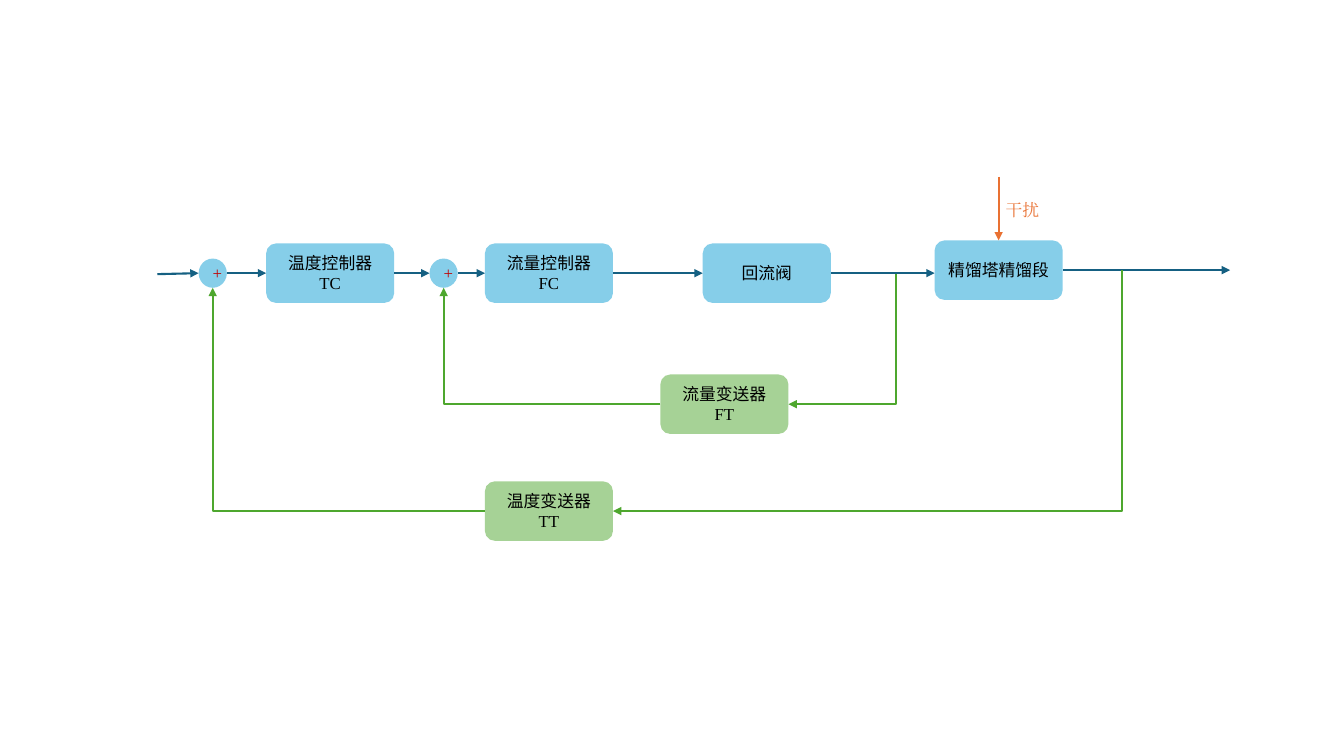
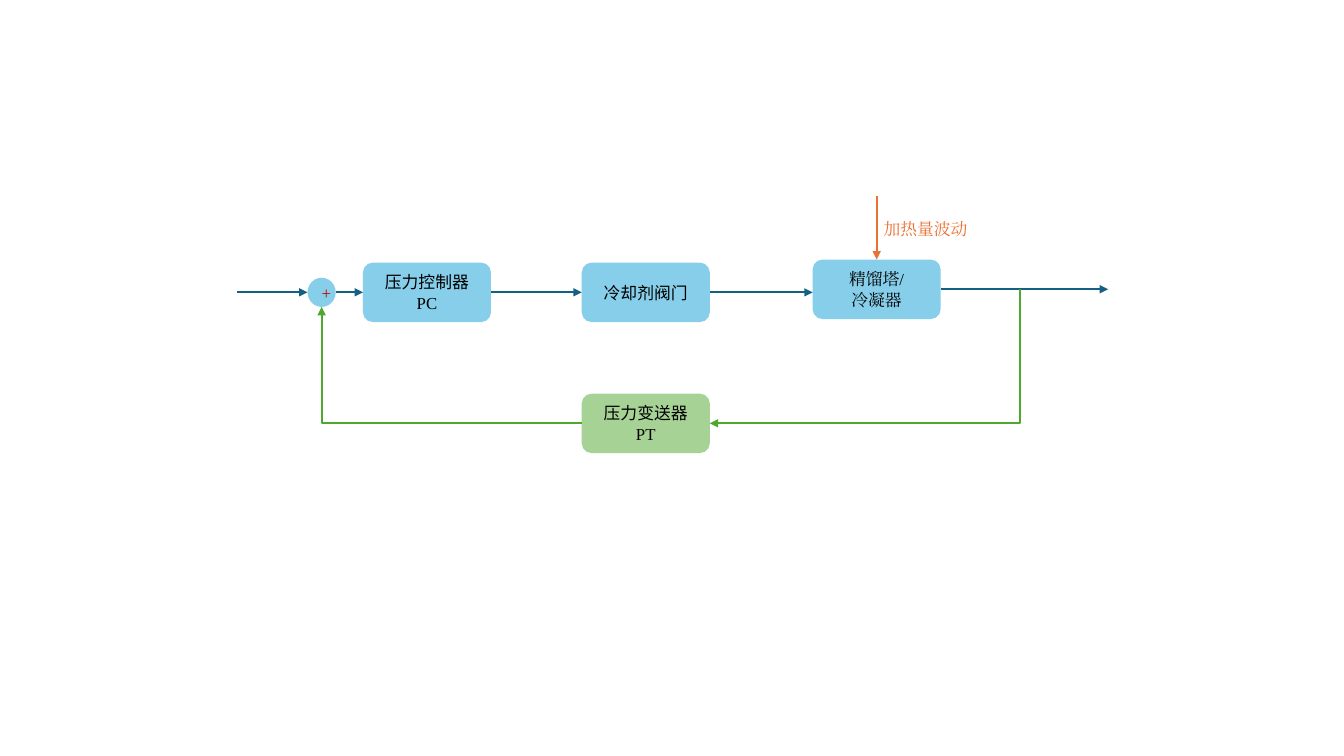
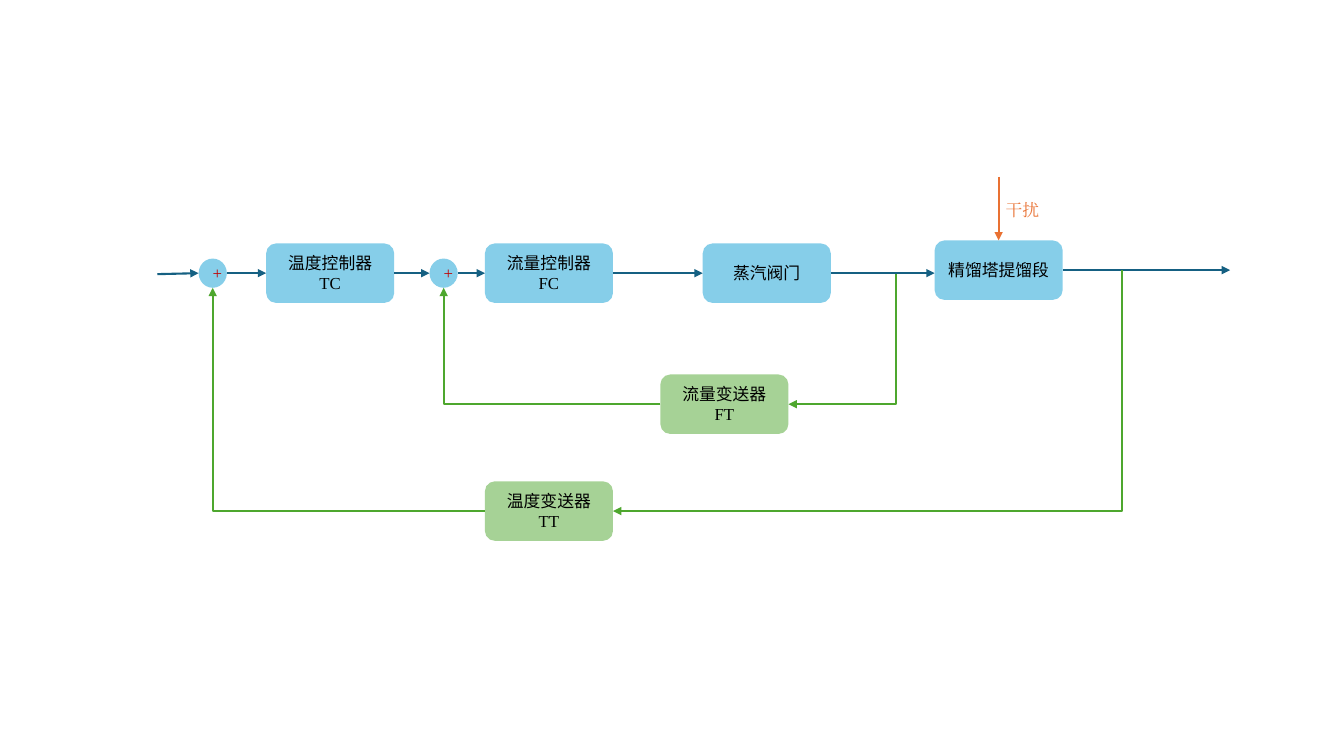
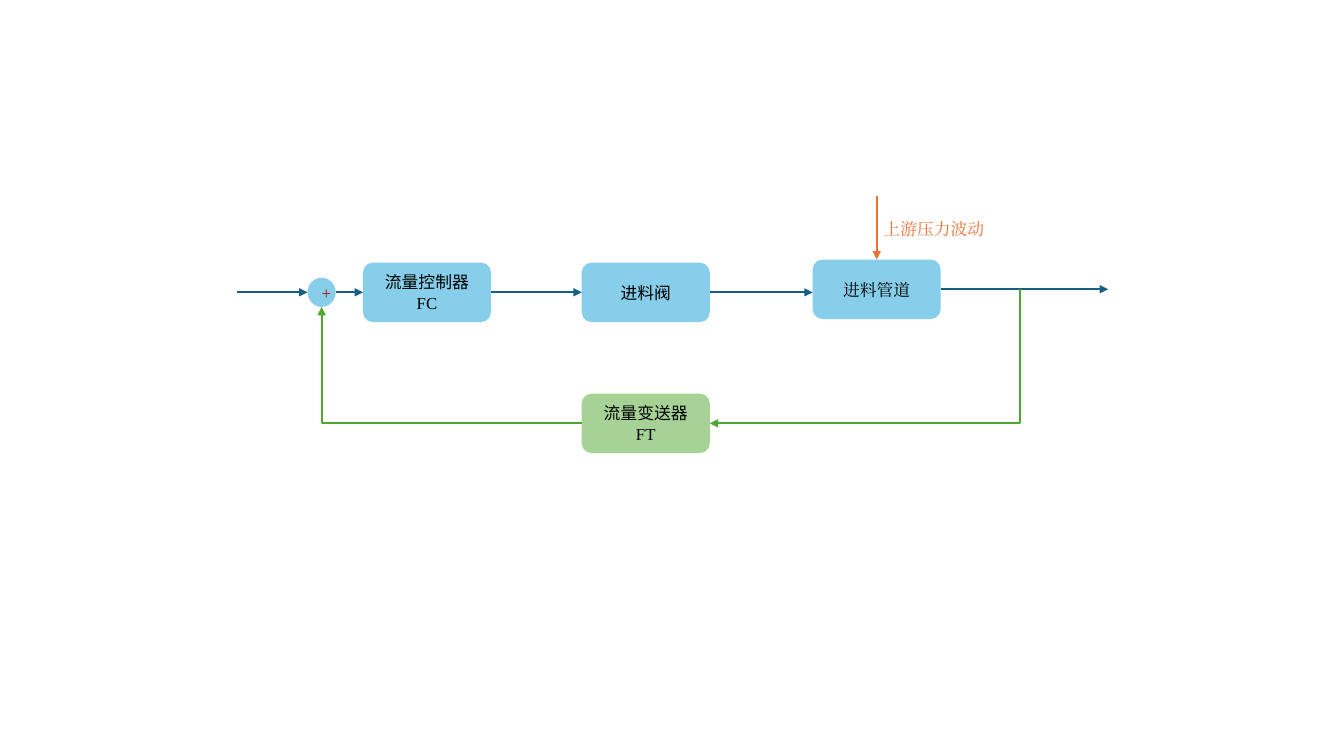
"""Build four block diagrams of distillation column control loops."""
from lxml import etree
from pptx import Presentation
from pptx.dml.color import RGBColor
from pptx.enum.shapes import MSO_CONNECTOR as LINE, MSO_SHAPE as SHAPE
from pptx.enum.text import PP_ALIGN
from pptx.oxml.ns import qn
from pptx.util import Inches, Pt

BLUE = RGBColor(0x0F, 0x9E, 0xD5)
GREEN = RGBColor(0x4E, 0xA7, 0x2E)
TEAL = RGBColor(0x15, 0x60, 0x82)
ORANGE = RGBColor(0xE9, 0x71, 0x32)
RED = RGBColor(0xC0, 0x00, 0x00)
BLACK = RGBColor(0, 0, 0)
CJK, LATIN = "Noto Sans CJK SC", "Times New Roman"

BOX_W, BOX_H = 1.27, 0.59
SUM_W, SUM_H = 0.28, 0.29
PROCESS_LIFT = 0.03

CASCADE = {
    "axis": 2.71, "inlet": (1.56, 2.72), "outlet": 12.2,
    "boxes": [2.64, 4.81, 6.97], "process": 9.27, "process_font": CJK,
    "sums": [1.97, 4.26],
    "loops": [
        {"box": 6.55, "axis": 4.01, "sum": 4.26, "tap": (8.89, 2.72)},
        {"box": 4.81, "axis": 5.07, "sum": 1.97, "tap": (11.13, 2.68)},
    ],
}
SINGLE = {
    "axis": 2.9, "inlet": (2.35, 2.9), "outlet": 10.99,
    "boxes": [3.6, 5.77], "process": 8.06, "process_font": LATIN,
    "sums": [3.05],
    "loops": [{"box": 5.77, "axis": 4.2, "sum": 3.05, "tap": (10.12, 2.87)}],
}

DIAGRAMS = [
    {"layout": CASCADE,
     "boxes": [("温度控制器", "TC"), ("流量控制器", "FC"), ("回流阀",)],
     "process": ["精馏塔精馏段"], "disturbance": "干扰",
     "transmitters": [("流量变送器", "FT"), ("温度变送器", "TT")]},
    {"layout": SINGLE,
     "boxes": [("压力控制器", "PC"), ("冷却剂阀门",)],
     "process": ["精馏塔/", "冷凝器"], "disturbance": "加热量波动",
     "transmitters": [("压力变送器", "PT")]},
    {"layout": CASCADE,
     "boxes": [("温度控制器", "TC"), ("流量控制器", "FC"), ("蒸汽阀门",)],
     "process": ["精馏塔提馏段"], "disturbance": "干扰",
     "transmitters": [("流量变送器", "FT"), ("温度变送器", "TT")]},
    {"layout": SINGLE,
     "boxes": [("流量控制器", "FC"), ("进料阀",)],
     "process": ["进料管道"], "disturbance": "上游压力波动",
     "transmitters": [("流量变送器", "FT")]},
]


def add_run(p, text, color, font=None):
    r = p.add_run()
    r.text = text
    name = font or (LATIN if text.isascii() else CJK)
    r.font.name = name
    r.font.size = Pt(12)
    r.font.color.rgb = color
    ea = etree.SubElement(r.font._element, qn("a:ea"))
    ea.set("typeface", name)


def add_node(s, kind, x, axis, w, h, fill, lines, color=BLACK, font=None):
    sp = s.shapes.add_shape(kind, Inches(x), Inches(axis - h / 2), Inches(w), Inches(h))
    sp.shadow.inherit = False
    sp.line.fill.background()
    sp.fill.solid()
    sp.fill.fore_color.rgb = fill
    srgb = sp._element.spPr.find(".//" + qn("a:srgbClr"))
    etree.SubElement(srgb, qn("a:alpha")).set("val", "50000")
    tf = sp.text_frame
    for i, runs in enumerate(lines):
        p = tf.add_paragraph() if i else tf.paragraphs[0]
        p.alignment = PP_ALIGN.CENTER
        for text in runs:
            add_run(p, text, color, font)


def add_box(s, x, axis, fill, lines, font=None):
    add_node(s, SHAPE.ROUNDED_RECTANGLE, x, axis, BOX_W, BOX_H, fill, lines, font=font)


def add_arrow(s, start, end, color, kind=LINE.STRAIGHT):
    c = s.shapes.add_connector(kind, *(Inches(v) for v in (*start, *end)))
    c.line.color.rgb = color
    c.line.width = Pt(1.5)
    etree.SubElement(c.line._get_or_add_ln(), qn("a:tailEnd")).set("type", "triangle")
    etree.SubElement(c._element.spPr, qn("a:effectLst"))
    return c


def add_elbow(s, start, end, vertical_first):
    c = add_arrow(s, start, end, GREEN, LINE.ELBOW)
    xfrm = c._element.spPr.find(qn("a:xfrm"))
    xfrm.attrib.clear()
    xfrm.set("rot", "10800000")
    geom = c._element.spPr.find(qn("a:prstGeom"))
    if vertical_first:
        xfrm.set("flipV", "1")
        guides = geom.find(qn("a:avLst"))
        if guides is None:
            guides = etree.SubElement(geom, qn("a:avLst"))
        guide = etree.SubElement(guides, qn("a:gd"))
        guide.set("name", "adj1")
        guide.set("fmla", "val 0")
    else:
        geom.set("prst", "bentConnector2")


def add_forward_path(s, d, lay):
    axis, process = lay["axis"], lay["process"]
    for x, runs in zip(lay["boxes"], d["boxes"]):
        add_box(s, x, axis, BLUE, [runs])
    for x in lay["sums"]:
        add_node(s, SHAPE.FLOWCHART_CONNECTOR, x, axis, SUM_W, SUM_H, BLUE, [("+",)], RED)
    spans = [(x, BOX_W) for x in lay["boxes"]] + [(x, SUM_W) for x in lay["sums"]]
    start = lay["inlet"]
    for x, w in sorted(spans):
        add_arrow(s, start, (x, axis), TEAL)
        start = (x + w, axis)
    add_arrow(s, start, (process, axis), TEAL)

    out_axis = axis - PROCESS_LIFT
    add_box(s, process, out_axis, BLUE, [(t,) for t in d["process"]], lay["process_font"])
    add_arrow(s, (process + BOX_W, out_axis), (lay["outlet"], out_axis), TEAL)


def add_disturbance(s, text, lay):
    x = lay["process"] + BOX_W / 2
    bottom = lay["axis"] - PROCESS_LIFT - BOX_H / 2
    top = bottom - 0.63
    add_arrow(s, (x, top), (x, bottom), ORANGE)
    tb = s.shapes.add_textbox(Inches(x - 0.03), Inches(top + 0.18),
                              Inches(0.2 + len(text) / 6), Inches(0.3))
    tb.text_frame.word_wrap = False
    add_run(tb.text_frame.paragraphs[0], text, ORANGE, LATIN)


def add_feedback(s, loop, runs, axis):
    x, y = loop["box"], loop["axis"]
    add_box(s, x, y, GREEN, [runs])
    add_elbow(s, loop["tap"], (x + BOX_W, y), True)
    add_elbow(s, (x, y), (loop["sum"] + SUM_W / 2, axis + SUM_H / 2), False)


def main():
    prs = Presentation()
    prs.slide_width, prs.slide_height = Inches(13.33), Inches(7.5)
    for d in DIAGRAMS:
        s = prs.slides.add_slide(prs.slide_layouts[6])
        lay = d["layout"]
        add_forward_path(s, d, lay)
        add_disturbance(s, d["disturbance"], lay)
        for loop, runs in zip(lay["loops"], d["transmitters"]):
            add_feedback(s, loop, runs, lay["axis"])
    prs.save("out.pptx")


if __name__ == "__main__":
    main()
